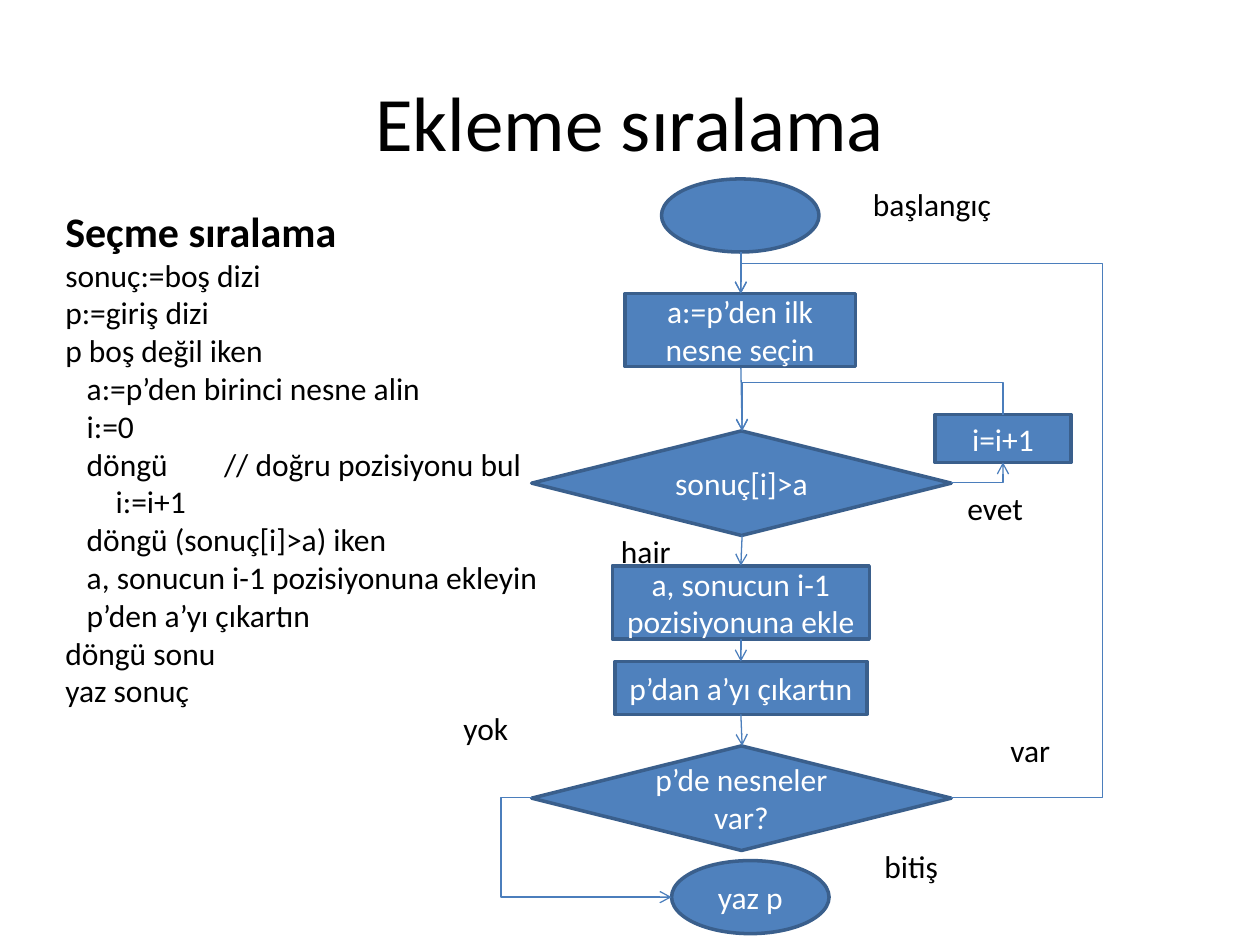
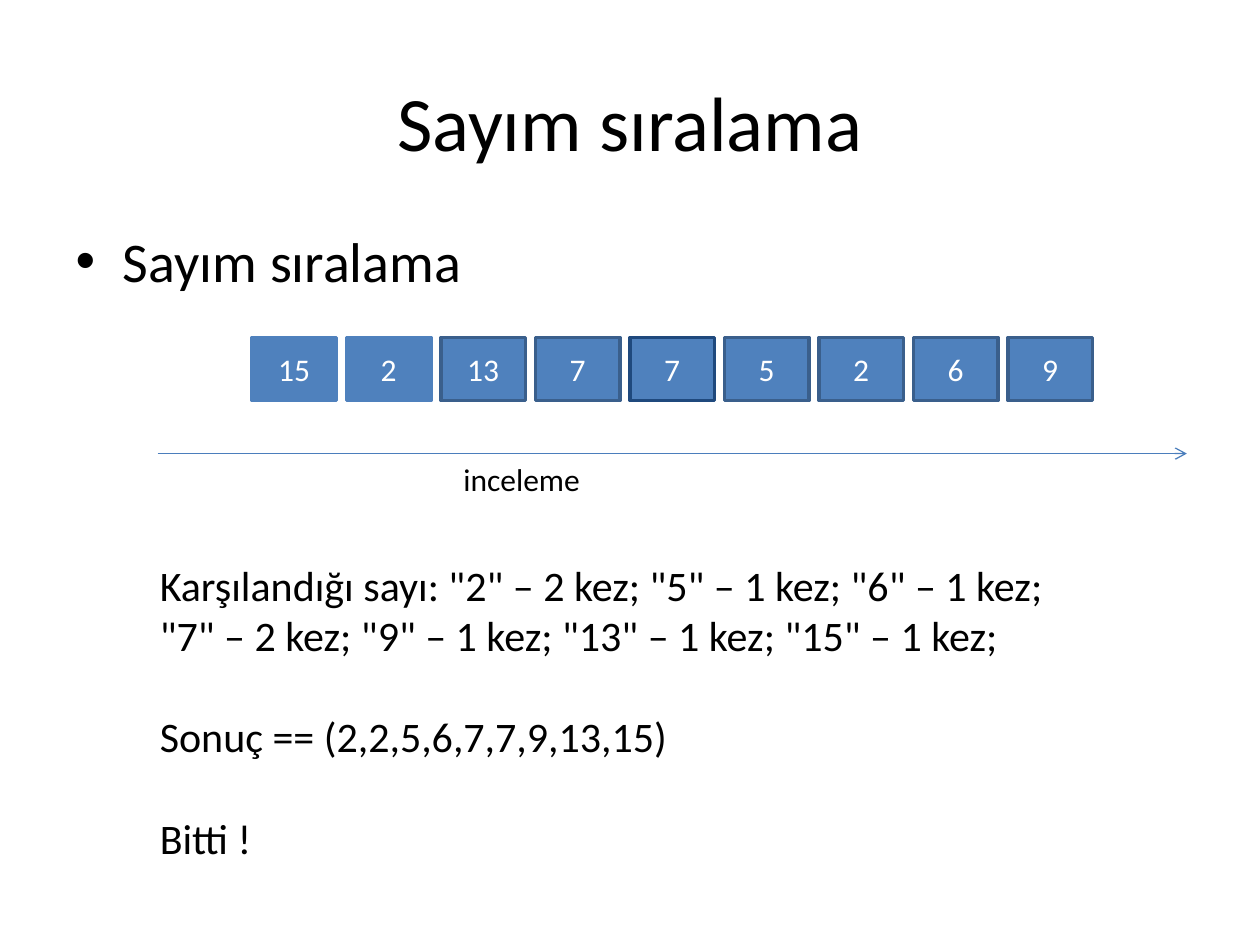
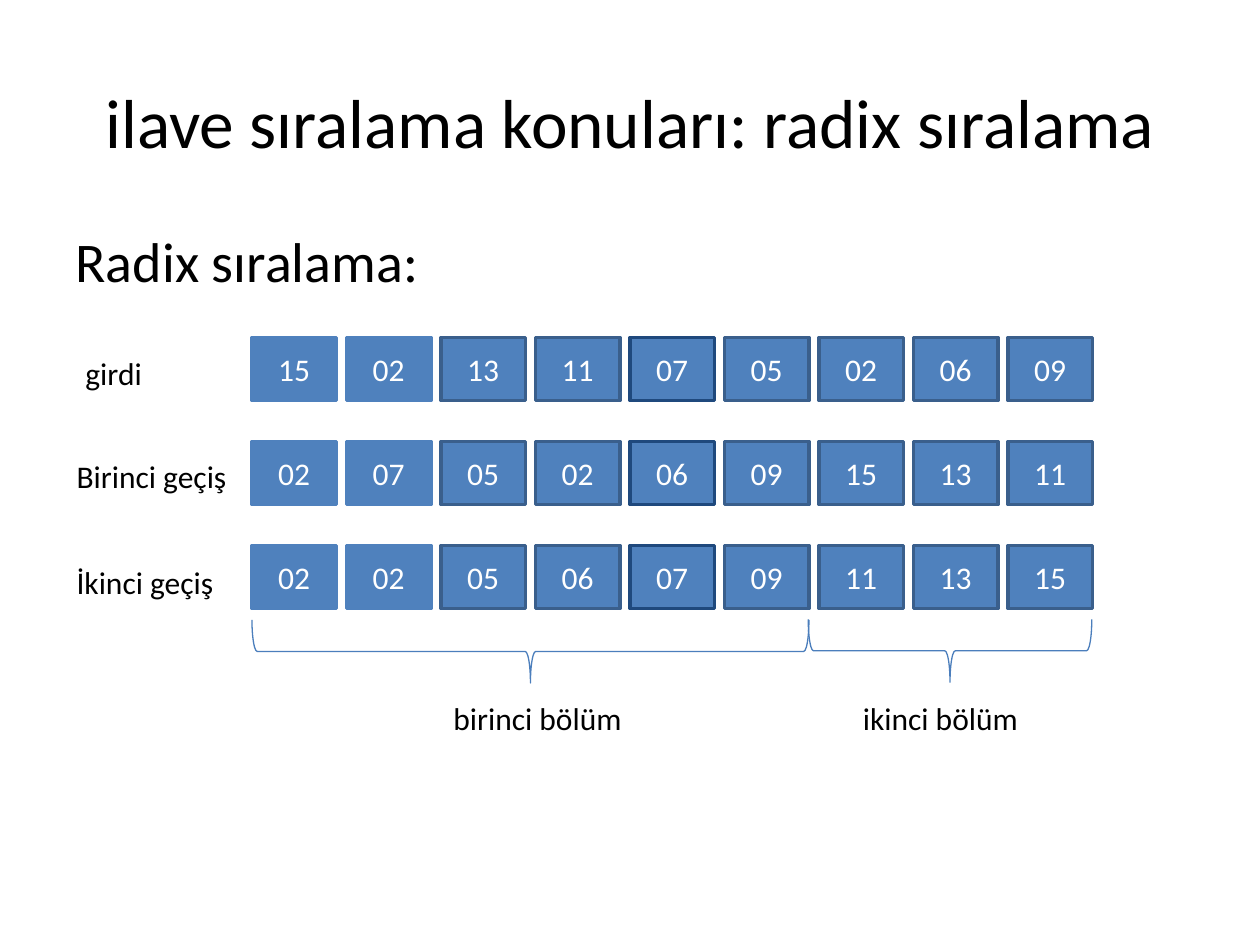
from pptx import Presentation
from pptx.util import Inches, Pt
from pptx.dml.color import RGBColor
from pptx.enum.shapes import MSO_SHAPE, MSO_CONNECTOR
from pptx.enum.text import PP_ALIGN, MSO_ANCHOR, MSO_AUTO_SIZE
from pptx.oxml.ns import qn
from lxml.etree import SubElement

BLUE = RGBColor(0x4F, 0x81, 0xBD)
EDGE = RGBColor(0x3A, 0x5F, 0x8C)
NAVY = RGBColor(0x1F, 0x49, 0x7D)
WIRE = RGBColor(0x4B, 0x7E, 0xBC)
WHITE = RGBColor(0xFF, 0xFF, 0xFF)
BLACK = RGBColor(0, 0, 0)
FONT = "Calibri"


def box(shapes, kind, x, y, w, h, text, edge=EDGE):
    shape = shapes.add_shape(kind, Inches(x), Inches(y), Inches(w), Inches(h))
    shape.shadow.inherit = False
    shape.fill.solid()
    shape.fill.fore_color.rgb = BLUE
    shape.line.color.rgb = edge
    shape.line.width = Pt(2)
    frame = shape.text_frame
    frame.text = text
    frame.vertical_anchor = MSO_ANCHOR.MIDDLE
    para = frame.paragraphs[0]
    para.alignment = PP_ALIGN.CENTER
    para.font.size = Pt(18)
    para.font.name = FONT
    para.font.color.rgb = WHITE


def link(slide, x1, y1, x2, y2, bend="line", adjust=(), turn=0):
    kind = MSO_CONNECTOR.STRAIGHT if bend == "line" else MSO_CONNECTOR.ELBOW
    wire = slide.shapes.add_connector(kind, Inches(x1), Inches(y1), Inches(x2), Inches(y2))
    wire.line.color.rgb = WIRE
    wire.line.width = Pt(0.75)
    props = wire._element.spPr
    SubElement(wire.line._get_or_add_ln(), qn("a:tailEnd"), type="arrow")
    SubElement(props, qn("a:effectLst"))
    geom = props.find(qn("a:prstGeom"))
    geom.set("prst", bend)
    guides = geom.find(qn("a:avLst"))
    for n, ratio in enumerate(adjust, 1):
        SubElement(guides, qn("a:gd"), name=f"adj{n}", fmla=f"val {round(ratio * 100000)}")
    if turn:
        props.find(qn("a:xfrm")).set("rot", str(turn * 60000))


deck = Presentation()
deck.slide_width = Inches(10)
deck.slide_height = Inches(7.5)

pages = []
for layout, title, size in [
    (5, "Ekleme sıralama", 44),
    (1, "Sayım sıralama", 44),
    (1, "ilave sıralama konuları: radix sıralama", 39.6),
]:
    page = deck.slides.add_slide(deck.slide_layouts[layout])
    head = page.shapes.title
    head.left, head.top, head.width, head.height = Inches(0.5), Inches(0.33), Inches(9), Inches(1.25)
    head.text_frame.text = title
    font = head.text_frame.paragraphs[0].runs[0].font
    font.size, font.name, font.color.rgb = Pt(size), FONT, BLACK
    pages.append(page)
flow, count, radix = pages

for page, text, width in [(count, "Sayım sıralama", 9), (radix, "Radix sıralama:", 9.25)]:
    body = page.placeholders[1]
    body.left, body.top, body.width, body.height = Inches(0.5), Inches(1.75), Inches(width), Inches(4.95)
    body.text_frame.text = text
    font = body.text_frame.paragraphs[0].runs[0].font
    font.size, font.name, font.color.rgb = Pt(32), FONT, BLACK
props = radix.placeholders[1].text_frame.paragraphs[0]._p.get_or_add_pPr()
props.set("marL", str(Inches(0.38)))
props.set("indent", str(-Inches(0.38)))
SubElement(props, qn("a:buNone"))

code = [
    (0, "Seçme sıralama"),
    (0, "sonuç:=boş dizi"),
    (0, "p:=giriş dizi"),
    (0, "p boş değil iken"),
    (0.17, "a:=p’den birinci nesne alin"),
    (0.17, "i:=0"),
    (0.17, "döngü\t// doğru pozisiyonu bul"),
    (0.4, "i:=i+1"),
    (0.17, "döngü (sonuç[i]>a) iken"),
    (0.17, "a, sonucun i-1 pozisiyonuna ekleyin"),
    (0.17, "p’den a’yı çıkartın"),
    (0, "döngü sonu"),
    (0, "yaz sonuç"),
]
area = flow.shapes.add_textbox(Inches(0.42), Inches(1.58), Inches(4), Inches(4.14))
frame = area.text_frame
frame.word_wrap = True
frame.auto_size = MSO_AUTO_SIZE.SHAPE_TO_FIT_TEXT
frame.text = "\n".join(text for _, text in code)
for para, (indent, text) in zip(frame.paragraphs, code):
    first = para is not None and text == code[0][1]
    para.font.size = Pt(24 if first else 18)
    para.font.bold = first
    para.font.name = FONT
    para.font.color.rgb = BLACK
    props = para._p.get_or_add_pPr()
    props.set("marL", str(Inches(indent)))
    if "\t" in text:
        tabs = props.makeelement(qn("a:tabLst"))
        props.insert(0, tabs)
        SubElement(tabs, qn("a:tab"), pos=str(Inches(1.09)), algn="l")

for kind, x, y, w, h, text in [
    (MSO_SHAPE.OVAL, 5.25, 1.42, 1.25, 0.58, ""),
    (MSO_SHAPE.RECTANGLE, 4.96, 2.33, 1.83, 0.58, "a:=p’den ilk nesne seçin"),
    (MSO_SHAPE.FLOWCHART_DECISION, 4.22, 3.42, 3.33, 0.83, "sonuç[i]>a"),
    (MSO_SHAPE.RECTANGLE, 7.42, 3.29, 1.08, 0.38, "i=i+1"),
    (MSO_SHAPE.RECTANGLE, 4.86, 4.49, 2.04, 0.58, "a, sonucun i-1 pozisiyonuna ekle"),
    (MSO_SHAPE.RECTANGLE, 4.88, 5.25, 2, 0.42, "p’dan a’yı çıkartın"),
    (MSO_SHAPE.FLOWCHART_DECISION, 4.22, 5.92, 3.33, 0.83, "p’de nesneler var?"),
    (MSO_SHAPE.OVAL, 5.33, 6.83, 1.25, 0.58, "yaz p"),
]:
    box(flow.shapes, kind, x, y, w, h, text)

for x1, y1, x2, y2 in [
    (5.88, 2, 5.88, 2.33),
    (5.88, 2.92, 5.89, 3.42),
    (5.89, 4.25, 5.88, 4.49),
    (5.88, 5.07, 5.88, 5.25),
    (5.88, 5.67, 5.89, 5.92),
]:
    link(flow, x1, y1, x2, y2)
link(flow, 7.55, 6.33, 5.88, 2.33, "bentConnector4", (-0.72, 1.06))
link(flow, 4.22, 6.33, 5.33, 7.12, "bentConnector3", (-0.22,))
link(flow, 7.55, 3.83, 7.96, 3.67, "bentConnector2")
link(flow, 6.99, 4.39, 6.86, 2.32, "bentConnector3", (-1.94,), 270)
link(count, 1.25, 3.6, 9.42, 3.6)

edges = [BLUE, BLUE, EDGE, EDGE, NAVY, EDGE, EDGE, EDGE, EDGE]
for page, row, values in [
    (count, 0, "15 2 13 7 7 5 2 6 9"),
    (radix, 0, "15 02 13 11 07 05 02 06 09"),
    (radix, 1, "02 07 05 02 06 09 15 13 11"),
    (radix, 2, "02 02 05 06 07 09 11 13 15"),
]:
    group = page.shapes.add_group_shape()
    for col, (value, edge) in enumerate(zip(values.split(), edges)):
        box(group.shapes, MSO_SHAPE.RECTANGLE, 2 + 0.75 * col, 2.68 + 0.825 * row, 0.67, 0.5, value, edge)

for x, y, h in [(3.96, 2.96, 4.42), (7.29, 4.04, 2.25)]:
    brace = radix.shapes.add_shape(MSO_SHAPE.LEFT_BRACE, Inches(x), Inches(y), Inches(0.5), Inches(h))
    brace.rotation = 270
    brace.shadow.inherit = False
    brace.fill.background()
    brace.line.color.rgb = WIRE
    brace.line.width = Pt(0.75)

for page, x, y, w, text in [
    (flow, 6.83, 1.42, 1.15, "başlangıç"),
    (flow, 7.58, 3.83, 0.65, "evet"),
    (flow, 4.83, 4.17, 0.6, "hair"),
    (flow, 3.58, 5.58, 0.56, "yok"),
    (flow, 7.92, 5.75, 0.52, "var"),
    (flow, 6.92, 6.67, 0.63, "bitiş"),
    (count, 3.58, 3.6, 1.14, "inceleme"),
    (radix, 0.58, 2.76, 0.65, "girdi"),
    (radix, 0.51, 3.58, 1.4, "Birinci geçiş"),
    (radix, 0.51, 4.42, 1.3, "İkinci geçiş"),
    (radix, 3.5, 5.5, 1.55, "birinci bölüm"),
    (radix, 6.75, 5.5, 1.45, "ikinci bölüm"),
]:
    label = page.shapes.add_textbox(Inches(x), Inches(y), Inches(w), Inches(0.4))
    frame = label.text_frame
    frame.word_wrap = False
    frame.auto_size = MSO_AUTO_SIZE.SHAPE_TO_FIT_TEXT
    frame.text = text
    font = frame.paragraphs[0].runs[0].font
    font.size, font.name, font.color.rgb = Pt(18), FONT, BLACK

note = count.shapes.add_textbox(Inches(1.17), Inches(4.39), Inches(8.33), Inches(2.52))
frame = note.text_frame
frame.word_wrap = True
frame.auto_size = MSO_AUTO_SIZE.SHAPE_TO_FIT_TEXT
frame.text = "\n".join([
    'Karşılandığı sayı: "2" – 2 kez; "5" – 1 kez; "6" – 1 kez;\v'
    '"7" – 2 kez; "9" – 1 kez; "13" – 1 kez; "15" – 1 kez;',
    "Sonuç == (2,2,5,6,7,7,9,13,15)",
    "Bitti !",
])
for n, para in enumerate(frame.paragraphs):
    para.space_before = Pt(29 if n else 0)
    para.font.size = Pt(24)
    para.font.name = FONT
    para.font.color.rgb = BLACK

deck.save("out.pptx")
